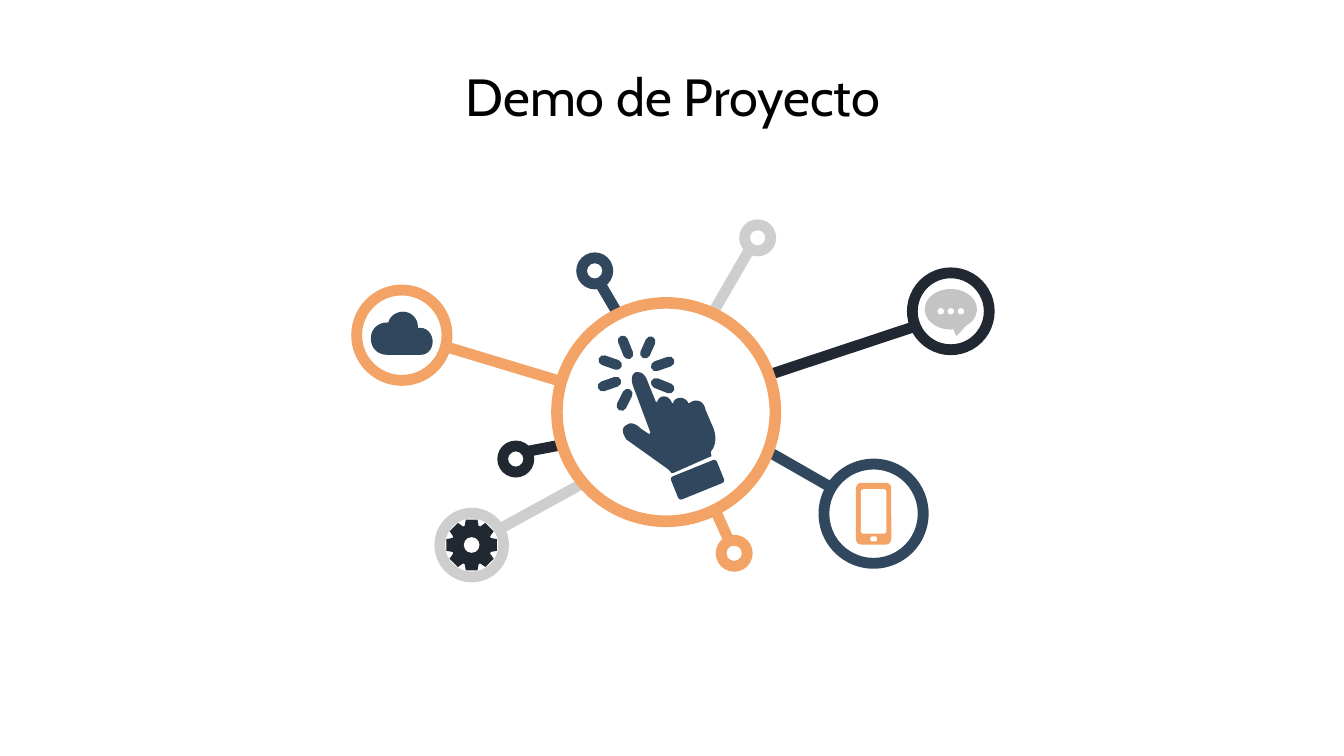
from math import cos, radians, sin

from pptx import Presentation
from pptx.dml.color import RGBColor
from pptx.enum.shapes import MSO_CONNECTOR, MSO_SHAPE as Preset
from pptx.enum.text import MSO_ANCHOR, PP_ALIGN
from pptx.oxml.ns import qn
from pptx.oxml.xmlchemy import OxmlElement
from pptx.util import Pt

NAVY, DARK, ORANGE, GREY = "30475E", "222831", "F2A365", "CECECE"
BUBBLE, WHITE, BLACK = "C4C4C4", "FFFFFF", "000000"

TITLE = "Demo de Proyecto"
SPOKE_WIDTH, RAY_WIDTH = 5.8, 5.4
SMALL = 19.8

HUB = (356.9, 220.8, 123.2, 6.2, ORANGE)
# Each node: centre x, centre y, diameter, colour, spoke ends
NODES = [
    (468, 275.2, 59, NAVY, (411.1, 241.6, 445, 261)),
    (509.4, 166.8, 47, DARK, (410.8, 201.2, 488.9, 175.3)),
    (215.3, 179.6, 54.2, ORANGE, (301, 204.5, 239, 185.8)),
    (252.7, 292, 40, GREY, (312.5, 258.8, 267.8, 283.3)),
    (276.3, 245.9, SMALL, DARK, (301, 238.3, 282.2, 241.9)),
    (393.3, 296.4, SMALL, ORANGE, (383, 272.9, 390.6, 289.8)),
    (318.6, 145.1, SMALL, NAVY, (330.8, 167.8, 321.5, 151.9)),
    (405.9, 127.4, SMALL, GREY, (382, 167.4, 401.8, 133.2)),
]
RAYS = [
    (333.7, 182.5, 336.6, 189.7),
    (323.3, 193, 330.5, 195.5),
    (351.4, 205.2, 358.6, 208.1),
    (322.9, 207, 330.1, 204.5),
    (351.4, 196.2, 358.6, 193.7),
    (333, 217.4, 336.2, 211),
    (345.6, 189.4, 348.5, 182.9),
]
HAND = [
    (342, 199.4), (341.3, 199.4, 341, 199.4, 340.6, 199.4),
    (337, 200.9, 339.1, 206.6, 339.1, 206.6), (348.5, 231.8), (347.8, 232.6),
    (343.4, 229.7), (342.7, 229, 340.6, 226.8, 337.7, 226.8),
    (337, 226.8, 336.2, 227.5, 334.8, 228.2),
    (331.9, 231.1, 335.5, 234.7, 335.5, 235.4), (357.8, 251.3), (358.6, 252),
    (359.3, 252.7, 359.3, 253.4, 360, 253.4), (360.7, 253.4), (380.2, 244.8),
    (380.9, 244.8, 381.6, 244.1, 380.9, 243.4), (380.9, 241.9),
    (385.2, 236.9, 382.3, 229.7, 382.3, 229.7), (378, 219.6),
    (378, 219.6, 377.3, 214.6, 373, 214.6),
    (371.5, 214.6, 370.1, 215.3, 369.4, 216), (368.6, 216),
    (368.6, 215.3, 367.9, 213.8, 365, 213.1),
    (362.2, 213.1, 360.7, 214.6, 360.7, 216), (360, 216),
    (359.3, 213.8, 357.8, 212.4, 355.7, 212.4),
    (354.2, 212.4, 352.8, 213.1, 352.1, 215.3), (351.4, 215.3), (347, 204.5),
    (347, 204.5, 345.6, 199.4, 342, 199.4),
]
CLOUD = [
    (216, 167), (212.4, 167, 208.8, 169.2, 208.1, 172.8), (207.4, 172.8),
    (202.3, 172.8, 198.7, 176.4, 198.7, 181.4),
    (198.7, 186.5, 202.3, 190.1, 207.4, 190.1), (225.4, 190.1),
    (229, 190.1, 231.8, 187.2, 231.8, 182.9),
    (231.8, 179.3, 229, 175.7, 225.4, 175.7), (223.9, 175.7), (223.9, 175),
    (223.9, 170.6, 220.3, 167, 216, 167),
]
BUBBLE_TAIL = [(510.5, 175.5), (511.9, 179.3), (512.6, 180), (518, 174)]
GEAR_TOOTH = [(-20, 10.9), (-13, 13.9), (13, 13.9), (20, 10.9)]

deck = Presentation()
deck.slide_width, deck.slide_height = Pt(720), Pt(405)
page = deck.slides.add_slide(deck.slide_layouts[6])


def color(value):
    return RGBColor.from_string(value)


def paint(shape, fill):
    shape.shadow.inherit = False
    shape.fill.solid()
    shape.fill.fore_color.rgb = color(fill)
    shape.line.fill.background()
    return shape


def add_centered(preset, x, y, width, height, fill, adjust=None):
    shape = page.shapes.add_shape(
        preset, Pt(x - width / 2), Pt(y - height / 2), Pt(width), Pt(height))
    if adjust is not None:
        shape.adjustments[0] = adjust
    return paint(shape, fill)


def add_ring(x, y, size, thickness, fill):
    add_centered(Preset.DONUT, x, y, size, size, fill, thickness / size)


def add_line(ends, width, fill, cap="flat"):
    line = page.shapes.add_connector(MSO_CONNECTOR.STRAIGHT, *map(Pt, ends))
    line.line.color.rgb = color(fill)
    line.line.width = Pt(width)
    properties = line._element.spPr
    properties.find(qn("a:ln")).set("cap", cap)
    properties.append(OxmlElement("a:effectLst"))


def flatten(outline, steps=8):
    points = [outline[0]]
    for part in outline[1:]:
        if len(part) == 2:
            points.append(part)
            continue
        controls = [points[-1], part[:2], part[2:4], part[4:]]
        for step in range(1, steps + 1):
            t = step / steps
            weights = [(1 - t) ** 3, 3 * t * (1 - t) ** 2, 3 * t * t * (1 - t), t ** 3]
            points.append(tuple(
                sum(w * c[axis] for w, c in zip(weights, controls)) for axis in (0, 1)))
    return points


def add_outline(outline, fill):
    first, *rest = [(Pt(x), Pt(y)) for x, y in flatten(outline)]
    builder = page.shapes.build_freeform(*first)
    builder.add_line_segments(rest, close=True)
    paint(builder.convert_to_shape(), fill)


box = page.shapes.add_textbox(Pt(56.2), Pt(32.4), Pt(608.4), Pt(38.2))
frame = box.text_frame
frame.word_wrap = True
frame.vertical_anchor = MSO_ANCHOR.MIDDLE
frame.margin_left = frame.margin_right = frame.margin_top = frame.margin_bottom = Pt(7.2)
para = frame.paragraphs[0]
para.text = TITLE
para.alignment = PP_ALIGN.CENTER
para.font.name, para.font.size = "Cabin", Pt(28)
para.font.color.rgb = color(BLACK)

for x, y, size, fill, spoke in NODES:
    add_ring(x, y, size, SPOKE_WIDTH, fill)
    add_line(spoke, SPOKE_WIDTH, fill)
add_ring(*HUB)

gear_x, gear_y = NODES[3][:2]
gear = [(gear_x + radius * sin(radians(turn + angle)),
         gear_y - radius * cos(radians(turn + angle)))
        for turn in range(0, 360, 45) for angle, radius in GEAR_TOOTH]
add_outline(gear, DARK)
add_centered(Preset.OVAL, gear_x, gear_y, 8.4, 8.4, WHITE)

chat_x, chat_y = NODES[1][:2]
add_centered(Preset.OVAL, chat_x, chat_y - 1.1, 28, 21.7, BUBBLE)
add_outline(BUBBLE_TAIL, BUBBLE)
for offset in (-5.4, 0, 5.4):
    add_centered(Preset.OVAL, chat_x + offset, chat_y, 3.4, 3.4, WHITE)

add_outline(HAND, NAVY)
cuff = add_centered(Preset.ROUNDED_RECTANGLE, 373.7, 257, 26.5, 13.3, NAVY, 0.12)
cuff.rotation = -22
for ray in RAYS:
    add_line(ray, RAY_WIDTH, NAVY, "rnd")

phone_x, phone_y = NODES[0][:2]
add_centered(Preset.ROUNDED_RECTANGLE, phone_x, phone_y, 18.9, 33.1, ORANGE, 0.15)
add_centered(Preset.ROUNDED_RECTANGLE, phone_x, phone_y - 1.2, 13.7, 23.8, WHITE, 0.1)
add_centered(Preset.ROUNDED_RECTANGLE, phone_x, phone_y + 13.5, 3.6, 2.7, WHITE, 0.4)

add_outline(CLOUD, NAVY)

deck.save("out.pptx")
